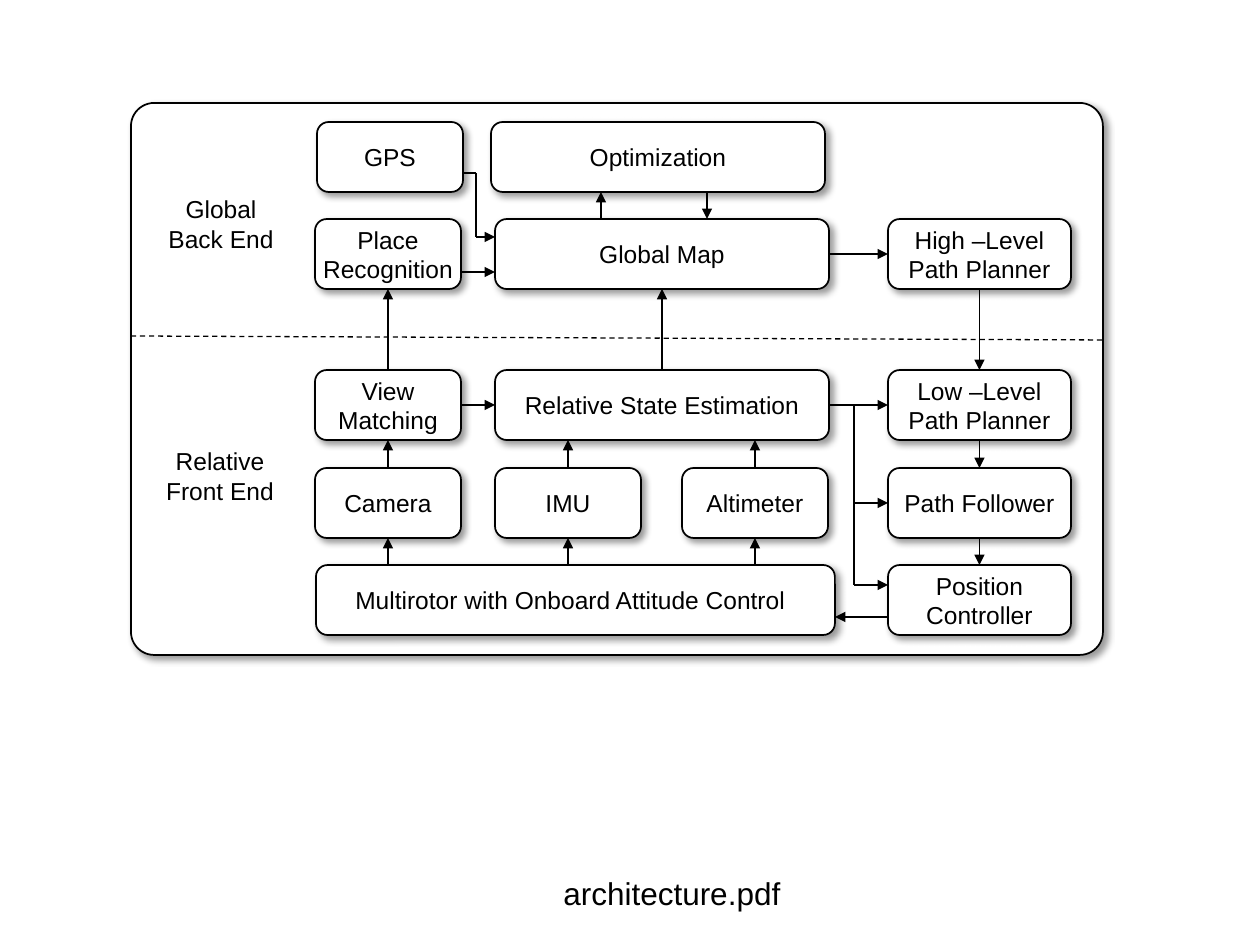
from dataclasses import dataclass
from itertools import pairwise

import pptx
import pptx.dml.color
import pptx.enum.dml
import pptx.enum.shapes
import pptx.enum.text
import pptx.oxml
import pptx.oxml.ns
import pptx.util

EMU_PER_PX = 914400 / 126
TOP, LEFT, BOTTOM, RIGHT = range(4)


@dataclass(frozen=True)
class Theme:
    font: str = "Arial"
    ink: pptx.dml.color.RGBColor = pptx.dml.color.RGBColor(0, 0, 0)
    paper: pptx.dml.color.RGBColor = pptx.dml.color.RGBColor(255, 255, 255)
    label_size: int = 14
    caption_size: int = 18
    outline: float = 1
    arrow: float = 0.75


def px(length):
    return pptx.util.Emu(round(length * EMU_PER_PX))


def add_xml(parent, tag, content="", attributes=""):
    parent.append(pptx.oxml.parse_xml(
        f'<a:{tag} {pptx.oxml.ns.nsdecls("a")} {attributes}>{content}</a:{tag}>'))


class Diagram:
    def __init__(self, slide, theme):
        self.shapes = slide.shapes
        self.theme = theme

    def set_text(self, frame, text, size, align):
        frame.text = text
        for paragraph in frame.paragraphs:
            paragraph.alignment = align
            for run in paragraph.runs:
                run.font.name = self.theme.font
                run.font.size = pptx.util.Pt(size)
                run.font.color.rgb = self.theme.ink

    def block(self, left, top, width, height, text="", corner=None, inset_right=0):
        """Add a rounded, shadowed box; a vertical tab in text breaks the line."""
        box = self.shapes.add_shape(
            pptx.enum.shapes.MSO_SHAPE.ROUNDED_RECTANGLE,
            px(left), px(top), px(width), px(height))
        if corner is not None:
            box.adjustments[0] = corner
        box.fill.solid()
        box.fill.fore_color.rgb = self.theme.paper
        box.line.color.rgb = self.theme.ink
        box.line.width = pptx.util.Pt(self.theme.outline)
        box.shadow.inherit = False
        effects = box.element.spPr.find(pptx.oxml.ns.qn("a:effectLst"))
        add_xml(effects, "outerShdw",
                f'<a:srgbClr val="{self.theme.ink}"><a:alpha val="40000"/></a:srgbClr>',
                'blurRad="50800" dist="38100" dir="2700000" algn="tl" rotWithShape="0"')
        if text:
            frame = box.text_frame
            frame.word_wrap = False
            frame.margin_left = frame.margin_top = frame.margin_bottom = 0
            frame.margin_right = px(inset_right)
            frame.vertical_anchor = pptx.enum.text.MSO_ANCHOR.MIDDLE
            self.set_text(frame, text, self.theme.label_size,
                          pptx.enum.text.PP_ALIGN.CENTER)
        return box

    def label(self, left, top, width, height, text, size,
              align=pptx.enum.text.PP_ALIGN.CENTER, wrap=True):
        frame = self.shapes.add_textbox(
            px(left), px(top), px(width), px(height)).text_frame
        frame.word_wrap = wrap
        self.set_text(frame, text, size, align)

    def line(self, start, end, arrow=True, dashed=False):
        """Draw a line; each end is an (x, y) point or a (box, side) pair."""
        connector = self.shapes.add_connector(
            pptx.enum.shapes.MSO_CONNECTOR.STRAIGHT,
            *(px(n) if isinstance(n, int) else 0 for n in (*start, *end)))
        if not isinstance(start[0], int):
            connector.begin_connect(*start)
        if not isinstance(end[0], int):
            connector.end_connect(*end)
        connector.line.color.rgb = self.theme.ink
        connector.line.width = pptx.util.Pt(self.theme.arrow)
        if dashed:
            connector.line.dash_style = pptx.enum.dml.MSO_LINE.DASH
        properties = connector.element.spPr
        if arrow:
            add_xml(properties.find(pptx.oxml.ns.qn("a:ln")), "tailEnd",
                    attributes='type="triangle"')
        add_xml(properties, "effectLst")

    def route(self, *points):
        """Draw a bent path with an arrowhead on its last leg."""
        legs = list(pairwise(points))
        for leg in legs:
            self.line(*leg, arrow=leg == legs[-1])


def main():
    presentation = pptx.Presentation()
    presentation.slide_width, presentation.slide_height = px(1260), px(945)
    slide = presentation.slides.add_slide(presentation.slide_layouts[6])
    theme = Theme()
    diagram = Diagram(slide, theme)

    small, wide, planner, height = 146, 334, 183, 70
    sources, middle, planners = 315, 495, 888
    inputs_row, map_row, estimate_row, sensor_row, vehicle_row = 122, 219, 370, 468, 565

    diagram.block(131, 103, 972, 552, corner=0.042)
    diagram.block(316, vehicle_row, 519, height,
                  "Multirotor with Onboard Attitude Control", inset_right=10)
    camera, imu, altimeter = (
        diagram.block(left, sensor_row, small, height, name)
        for left, name in ((sources, "Camera"), (middle, "IMU"), (682, "Altimeter")))
    view_matching = diagram.block(sources, estimate_row, small, height, "View\vMatching")
    estimation = diagram.block(middle, estimate_row, wide, height,
                               "Relative State Estimation")
    high_level, low_level, follower, controller = (
        diagram.block(planners, top, planner, height, name)
        for top, name in ((map_row, "High –Level\vPath Planner"),
                          (estimate_row, "Low –Level\vPath Planner"),
                          (sensor_row, "Path Follower"),
                          (vehicle_row, "Position\vController")))
    place = diagram.block(sources, map_row, small, height, "Place\vRecognition")
    diagram.block(317, inputs_row, small, height, "GPS")
    global_map = diagram.block(middle, map_row, wide, height, "Global Map")
    diagram.block(491, inputs_row, wide, height, "Optimization")

    diagram.label(131, 188, 180, 72, "Global\nBack End", theme.label_size)
    diagram.label(130, 440, 180, 72, "Relative\nFront End", theme.label_size)
    diagram.label(551, 868, 253, 50, "architecture.pdf", theme.caption_size,
                  pptx.enum.text.PP_ALIGN.LEFT, wrap=False)

    diagram.line((131, 336), (1103, 340), arrow=False, dashed=True)

    for start, end in ((view_matching, place), (camera, view_matching),
                       (estimation, global_map)):
        diagram.line((start, TOP), (end, BOTTOM))
    for start, end in pairwise((high_level, low_level, follower, controller)):
        diagram.line((start, BOTTOM), (end, TOP))
    for start, end in ((global_map, high_level), (view_matching, estimation),
                       (estimation, low_level)):
        diagram.line((start, RIGHT), (end, LEFT))

    for sensor, x in ((camera, 388), (imu, 568), (altimeter, 755)):
        diagram.line((x, vehicle_row), (sensor, BOTTOM))
    for sensor, x in ((imu, 568), (altimeter, 755)):
        diagram.line((sensor, TOP), (x, estimate_row + height))

    optimization_bottom = inputs_row + height
    diagram.line((601, map_row), (601, optimization_bottom))
    diagram.line((707, optimization_bottom), (707, map_row))
    diagram.line((sources + small, 272), (middle, 272))
    diagram.route((463, 173), (476, 173), (476, 237), (middle, 237))

    state_bus = 854
    diagram.route((state_bus, 405), (state_bus, 585), (planners, 585))
    diagram.line((state_bus, sensor_row + height // 2), (follower, LEFT))
    diagram.line((planners, 617), (835, 617))

    presentation.save("out.pptx")


if __name__ == "__main__":
    main()
